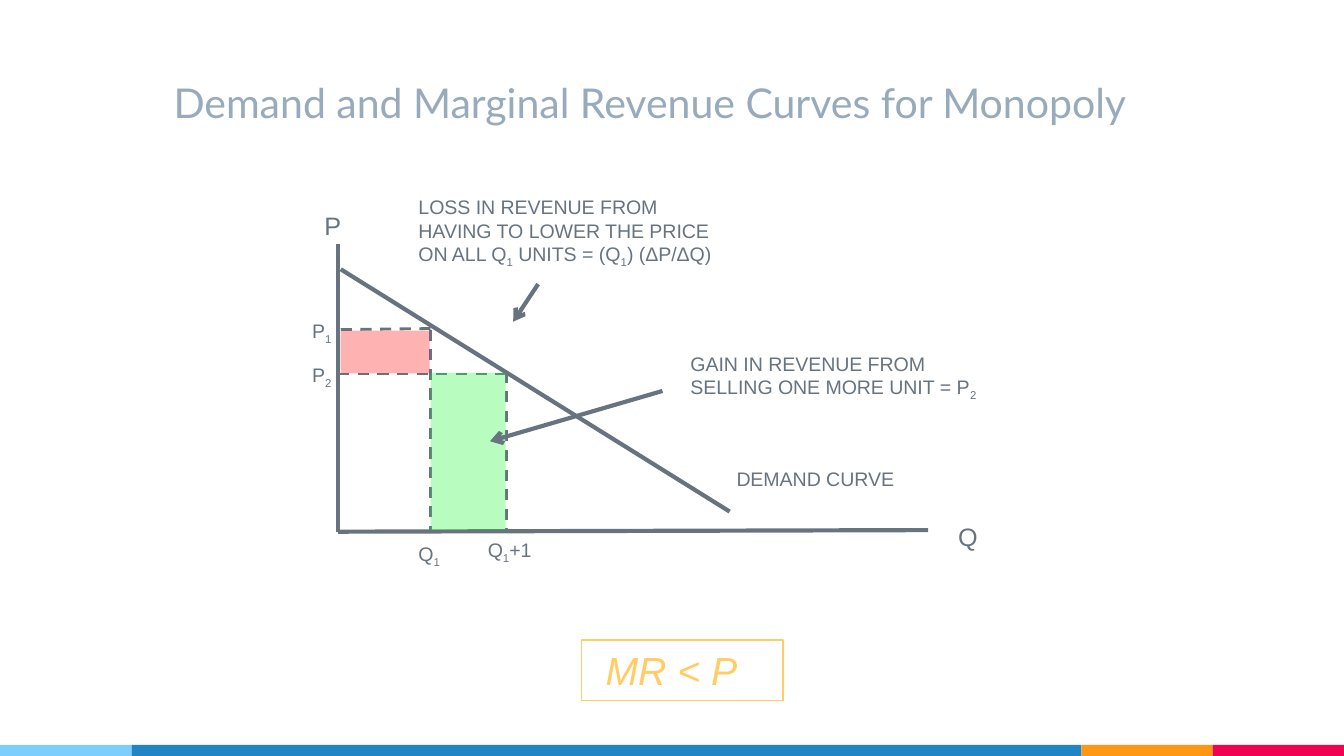
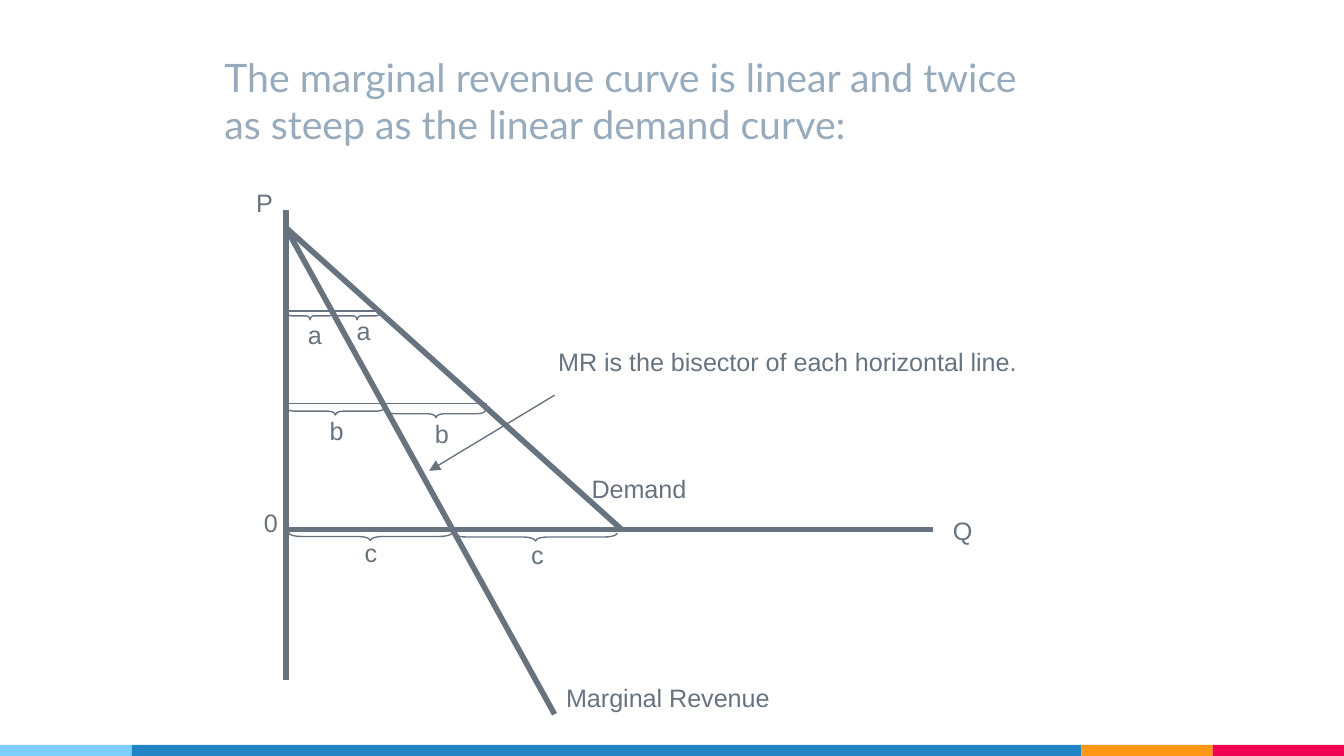
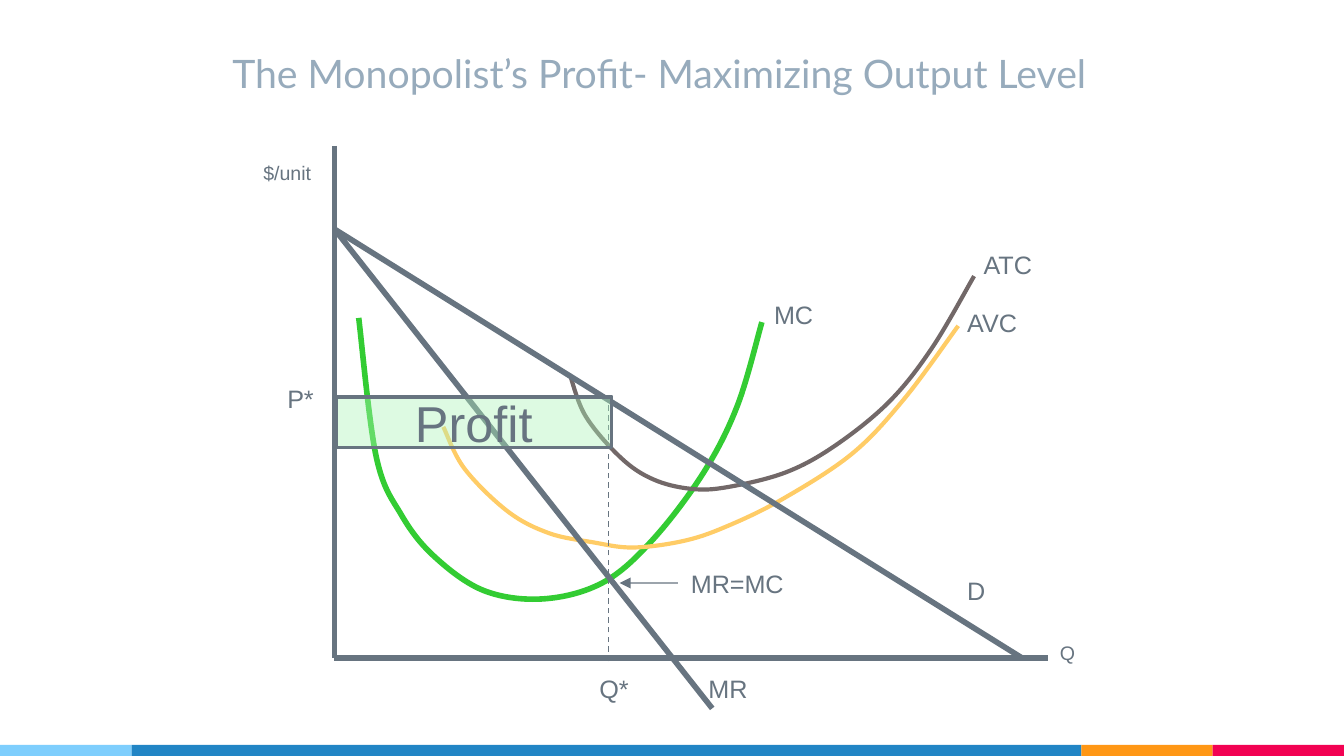
from dataclasses import dataclass

from lxml import etree
from pptx import Presentation
from pptx.dml.color import RGBColor
from pptx.enum.dml import MSO_LINE
from pptx.enum.shapes import MSO_CONNECTOR, MSO_SHAPE
from pptx.enum.text import MSO_ANCHOR, MSO_AUTO_SIZE, PP_ALIGN
from pptx.oxml.ns import qn
from pptx.slide import Slide
from pptx.util import Cm, Pt

STRAIGHT = MSO_CONNECTOR.STRAIGHT
RECTANGLE, LEFT_BRACE = MSO_SHAPE.RECTANGLE, MSO_SHAPE.LEFT_BRACE
DASH = MSO_LINE.DASH
GROW, FIXED = MSO_AUTO_SIZE.SHAPE_TO_FIT_TEXT, MSO_AUTO_SIZE.NONE
BOTTOM, MIDDLE = MSO_ANCHOR.BOTTOM, MSO_ANCHOR.MIDDLE
LEFT, CENTER = PP_ALIGN.LEFT, PP_ALIGN.CENTER

PAGE_WIDTH, PAGE_HEIGHT = 25.4, 14.29
BAND_HEIGHT = 0.21
TITLE_INSET = 0.25
TITLE_FONT, BODY_FONT = "Lato", "Arial"
SMALL, MEDIUM = 10.5, 13.5
BRACE_DEPTH = 0.15

COLORS = {
    "title": "97ABBC",
    "ink": "677480",
    "sky": "7ECEFD",
    "blue": "2185C5",
    "orange": "FF9715",
    "pink": "F20253",
    "loss": "FF0000",
    "gain": "15F730",
    "profit": "ABF3B7",
    "gold": "FFCC66",
    "green": "33CC33",
    "brown": "726868",
}
BANDS = [("sky", 2.49), ("blue", 17.95), ("orange", 2.48), ("pink", 2.48)]

MC_KNOTS = [
    (0.46, 3.25), (0.79, 5.87), (1.27, 6.98), (1.9, 7.77), (2.84, 8.41), (3.96, 8.56),
    (5.08, 8.25), (6.02, 7.44), (6.98, 6.17), (7.62, 4.9), (8.08, 3.33),
]
AVC_KNOTS = [
    (2.06, 5.31), (2.46, 6.1), (3.28, 6.91), (4.06, 7.32), (4.88, 7.49), (5.64, 7.59),
    (6.58, 7.47), (7.37, 7.21), (8.46, 6.68), (9.78, 5.82), (10.77, 4.78), (11.79, 3.4),
]
ATC_KNOTS = [
    (4.45, 4.32), (4.75, 5.11), (5.41, 5.89), (6.02, 6.3), (6.73, 6.48), (7.42, 6.45),
    (8.53, 6.17), (9.47, 5.66), (10.49, 4.83), (11.3, 3.81), (12.09, 2.46),
]


def color(name):
    return RGBColor.from_string(COLORS[name])


def style_line(line, name, weight):
    line.color.rgb = color(name)
    line.width = Pt(weight)


def style_font(font, face, size, name):
    font.name = face
    font.size = Pt(size)
    font.color.rgb = color(name)


def fill_shape(shape, name, alpha=None):
    shape.shadow.inherit = False
    shape.line.fill.background()
    shape.fill.solid()
    shape.fill.fore_color.rgb = color(name)
    if alpha is not None:
        tint = shape.element.spPr.find(qn("a:solidFill"))[0]
        etree.SubElement(tint, qn("a:alpha"), val=str(alpha * 1000))


def write_subscripted(para, text):
    """Write text in which the character after each underscore is a subscript."""
    first, *rest = text.split("_")
    para.add_run().text = first
    for part in rest:
        span = para.add_run()
        span.text = part[0]
        span._r.get_or_add_rPr().set("baseline", "-25000")
        if part[1:]:
            para.add_run().text = part[1:]


def smooth_outline(shape):
    """Turn the straight segments of a freeform into Bézier curves through its points."""
    outline = next(shape.element.iter(qn("a:path")))
    knots = [(int(point.get("x")), int(point.get("y"))) for point in outline.iter(qn("a:pt"))]
    padded = [knots[0], *knots, knots[-1]]
    segments = outline.findall(qn("a:lnTo"))
    for segment, a, b, c, d in zip(segments, padded, padded[1:], padded[2:], padded[3:]):
        leave = [q + (r - p) / 6 for p, q, r in zip(a, b, c)]
        arrive = [r - (s - q) / 6 for q, r, s in zip(b, c, d)]
        bezier = etree.Element(qn("a:cubicBezTo"))
        for x, y in (leave, arrive, c):
            etree.SubElement(bezier, qn("a:pt"), x=str(round(x)), y=str(round(y)))
        outline.replace(segment, bezier)


@dataclass
class Plot:
    """A diagram whose parts are placed in centimetres from its top-left corner."""

    page: Slide
    left: float
    top: float

    def place(self, x, y):
        return Cm(self.left + x), Cm(self.top + y)

    def line(self, start, end, weight, dash=None, arrow=None):
        connector = self.page.shapes.add_connector(STRAIGHT, *self.place(*start), *self.place(*end))
        style_line(connector.line, "ink", weight)
        if dash:
            connector.line.dash_style = dash
        if arrow:
            etree.SubElement(connector.line._get_or_add_ln(), qn("a:tailEnd"), type=arrow)
        etree.SubElement(connector.element.spPr, qn("a:effectLst"))
        return connector

    def label(self, text, x, y, width, size=MEDIUM, rows=1, wrap=False):
        height = 0.25 + rows * size * 0.0425
        box = self.page.shapes.add_textbox(*self.place(x, y), Cm(width), Cm(height))
        box.text_frame.word_wrap = wrap
        box.text_frame.auto_size = GROW
        para = box.text_frame.paragraphs[0]
        style_font(para.font, BODY_FONT, size, "ink")
        write_subscripted(para, text)
        return box

    def area(self, x, y, width, height, name, alpha):
        shape = self.page.shapes.add_shape(RECTANGLE, *self.place(x, y), Cm(width), Cm(height))
        fill_shape(shape, name, alpha)
        return shape

    def brace(self, center_x, center_y, span):
        """Draw a brace that opens upward, centred on the given point."""
        corner = self.place(center_x - BRACE_DEPTH / 2, center_y - span / 2)
        shape = self.page.shapes.add_shape(LEFT_BRACE, *corner, Cm(BRACE_DEPTH), Cm(span))
        shape.rotation = 270
        shape.adjustments[0] = 0.53 * span
        shape.shadow.inherit = False
        shape.fill.background()
        style_line(shape.line, "ink", 0.75)

    def curve(self, knots, name, weight):
        start, *rest = [self.place(*knot) for knot in knots]
        builder = self.page.shapes.build_freeform(*start)
        builder.add_line_segments(rest, close=False)
        shape = builder.convert_to_shape()
        smooth_outline(shape)
        shape.shadow.inherit = False
        shape.fill.background()
        style_line(shape.line, name, weight)


def add_bands(page):
    """Draw the bottom bands and move them to the page's layout."""
    left = 0
    for number, (name, width) in enumerate(BANDS):
        band = page.shapes.add_shape(
            RECTANGLE, Cm(left), Cm(PAGE_HEIGHT - BAND_HEIGHT), Cm(width), Cm(BAND_HEIGHT))
        fill_shape(band, name)
        band.element.nvSpPr.cNvPr.set("id", str(20 + number))
        page.slide_layout.shapes.element.append(band.element)
        left += width


def set_title(page, text, box, size=21):
    title = page.shapes.title
    title.left, title.top, title.width, title.height = [Cm(length) for length in box]
    frame = title.text_frame
    frame.text = text
    frame.word_wrap = True
    frame.auto_size = FIXED
    frame.vertical_anchor = BOTTOM
    frame.margin_left = frame.margin_right = Cm(TITLE_INSET)
    frame.margin_top = frame.margin_bottom = Cm(TITLE_INSET)
    para = frame.paragraphs[0]
    para.alignment = LEFT
    style_font(para.font, TITLE_FONT, size, "title")


def draw_revenue_change(page, left, top):
    plot = Plot(page, left, top)
    base, q1, q2, p1, p2 = 5.44, 1.75, 3.18, 1.62, 2.46
    for start, end in [((0, 0), (0, base)), ((11.15, 5.41), (0, base)), ((0.05, 0.48), (7.4, 5.06))]:
        plot.line(start, end, 2.25)
    for start, end in [
        ((q1, p1), (q1, base)), ((q2, 2.41), (q2, base)),
        ((0, p2), (q2, p2)), ((0.05, p1), (q1, 1.6)),
    ]:
        plot.line(start, end, 1.5, DASH)

    plot.label("P", -0.51, -0.76, 0.84)
    plot.label("Q", 11.47, 5.12, 0.89)
    for text, x, y, width in [
        ("P_1", -0.74, 1.3, 0.97), ("P_2", -0.74, 2.13, 0.97),
        ("Q_1", 1.27, 5.51, 0.97), ("Q_1+1", 2.58, 5.44, 1.45),
    ]:
        plot.label(text, x, y, width, SMALL)
    plot.area(0.05, 1.64, 1.68, 0.81, "loss", 30)
    plot.area(q1, 2.44, 1.42, 2.97, "gain", 30)
    plot.label("DEMAND CURVE", 7.28, 4.09, 3.63, SMALL)
    plot.label("GAIN IN REVENUE FROM SELLING ONE MORE UNIT = P_2",
               6.41, 1.91, 6.5, SMALL, rows=2, wrap=True)
    plot.label("LOSS IN REVENUE FROM HAVING TO LOWER THE PRICE ON ALL Q_1 UNITS = (Q_1) (ΔP/ΔQ)",
               1.27, -1.05, 6.15, SMALL, rows=3, wrap=True)
    plot.line((3.78, 0.76), (3.31, 1.47), 2.25, arrow="arrow")
    plot.line((6.13, 2.78), (2.87, 3.73), 2.25, arrow="arrow")


def add_conclusion(page, text, box):
    frame_box = page.shapes.add_textbox(*[Cm(length) for length in box])
    style_line(frame_box.line, "gold", 0.75)
    frame = frame_box.text_frame
    frame.word_wrap = True
    frame.auto_size = GROW
    frame.text = text
    font = frame.paragraphs[0].font
    style_font(font, BODY_FONT, 21, "gold")
    font.italic = True


def draw_bisector(page, left, top):
    plot = Plot(page, left, top)
    base, choke = 6.04, (0, 0.33)
    for start, end in [
        ((0, 0), (0, 8.89)), ((0, base), (12.23, base)),
        (choke, (6.35, base)), (choke, (5.08, 9.53)),
    ]:
        plot.line(start, end, 3)
    for y, width in [(1.91, 1.75), (3.66, 3.81)]:
        plot.line((0, y), (width, y), 0.75)
    for x, y, span in [
        (0.46, 2, 0.86), (1.35, 2, 0.86), (0.94, 3.8, 1.88),
        (2.84, 3.85, 1.88), (1.6, 6.17, 3.1), (4.72, 6.18, 3.1),
    ]:
        plot.brace(x, y, span)
    for text, x, y, width in [
        ("P", -0.81, -0.55, 0.84), ("Q", 12.36, 5.64, 0.89), ("0", -0.66, 5.49, 0.79),
        ("Demand", 5.53, 4.85, 2.34), ("Marginal Revenue", 5.05, 8.81, 4.42),
        ("a", 1.09, 1.87, 0.79), ("a", 0.17, 1.95, 0.79),
        ("b", 2.57, 3.82, 0.79), ("b", 0.58, 3.76, 0.79),
        ("c", 4.39, 6.1, 0.76), ("c", 1.24, 6.07, 0.76),
        ("MR is the bisector of each horizontal line.", 4.9, 2.46, 9.3),
    ]:
        plot.label(text, x, y, width)
    plot.line((5.08, 3.5), (2.71, 4.93), 0.75, arrow="triangle")


def draw_profit(page, left, top):
    plot = Plot(page, left, top)
    base, choke = 9.68, (0, 1.57)
    plot.line((0, 0), (0, base), 3)
    plot.line((0, base), (13.49, base), 3)
    plot.label("$/unit", -1.59, 0.16, 1.42, SMALL)
    plot.label("Q", 13.46, 9.23, 0.81, SMALL)
    plot.curve(MC_KNOTS, "green", 3)
    plot.curve(AVC_KNOTS, "gold", 2.25)
    plot.curve(ATC_KNOTS, "brown", 2.25)
    plot.line(choke, (13, base), 3)
    plot.line(choke, (7.14, 10.63), 3)
    plot.line((5.18, 9.74), (5.18, 4.83), 0.75, DASH)
    plot.line((5.23, 4.74), (0, 4.74), 0.75, DASH)
    for text, x, y, width in [
        ("ATC", 12.02, 1.82, 1.47), ("AVC", 11.71, 2.92, 1.5), ("MC", 8.06, 2.77, 1.27),
        ("MR", 6.82, 9.84, 1.27), ("D", 11.71, 8, 0.86),
        ("Q*", 4.76, 9.84, 1.07), ("P*", -1.14, 4.36, 1.02),
    ]:
        plot.label(text, x, y, width)
    optimum = plot.label("MR=MC", 6.49, 7.85, 2.29)
    pointer = plot.line((6.49, 8.26), (5.39, 8.26), 0.75, arrow="triangle")
    pointer.begin_connect(optimum, 1)

    profit = plot.area(0.03, 4.74, 5.21, 0.96, "profit", 40)
    style_line(profit.line, "ink", 2)
    profit.text_frame.text = "Profit"
    profit.text_frame.vertical_anchor = MIDDLE
    para = profit.text_frame.paragraphs[0]
    para.alignment = CENTER
    style_font(para.font, BODY_FONT, 27, "ink")


def main():
    deck = Presentation()
    deck.slide_width, deck.slide_height = Cm(PAGE_WIDTH), Cm(PAGE_HEIGHT)
    title_only = deck.slide_layouts[5]
    revenue, bisector, profit = [deck.slides.add_slide(title_only) for _ in range(3)]
    add_bands(revenue)

    set_title(revenue, "Demand and Marginal Revenue Curves for Monopoly",
              (3.03, 1.63, 18.67, 1.02), size=22)
    draw_revenue_change(revenue, 6.39, 4.61)
    add_conclusion(revenue, " MR < P", (10.99, 12.1, 3.81, 1.14))

    set_title(bisector,
              "The marginal revenue curve is linear and twice as steep as the linear demand curve:",
              (3.99, 0.65, 16.21, 2.39))
    draw_bisector(bisector, 5.4, 3.97)

    set_title(profit, "The Monopolist’s Profit- Maximizing Output Level",
              (4.14, 0.65, 16.66, 1.42))
    draw_profit(profit, 6.32, 2.76)
    deck.save("out.pptx")


if __name__ == "__main__":
    main()
